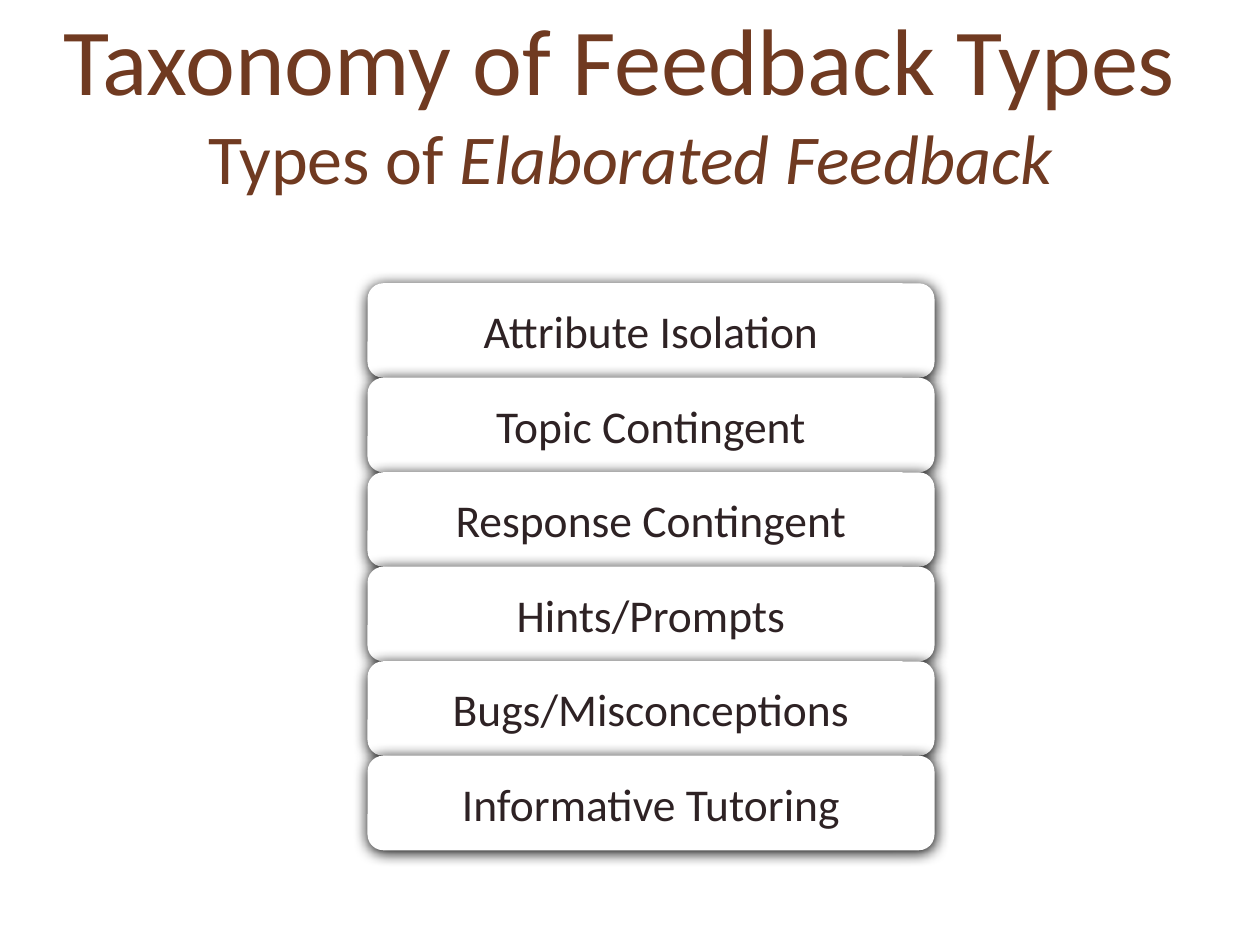
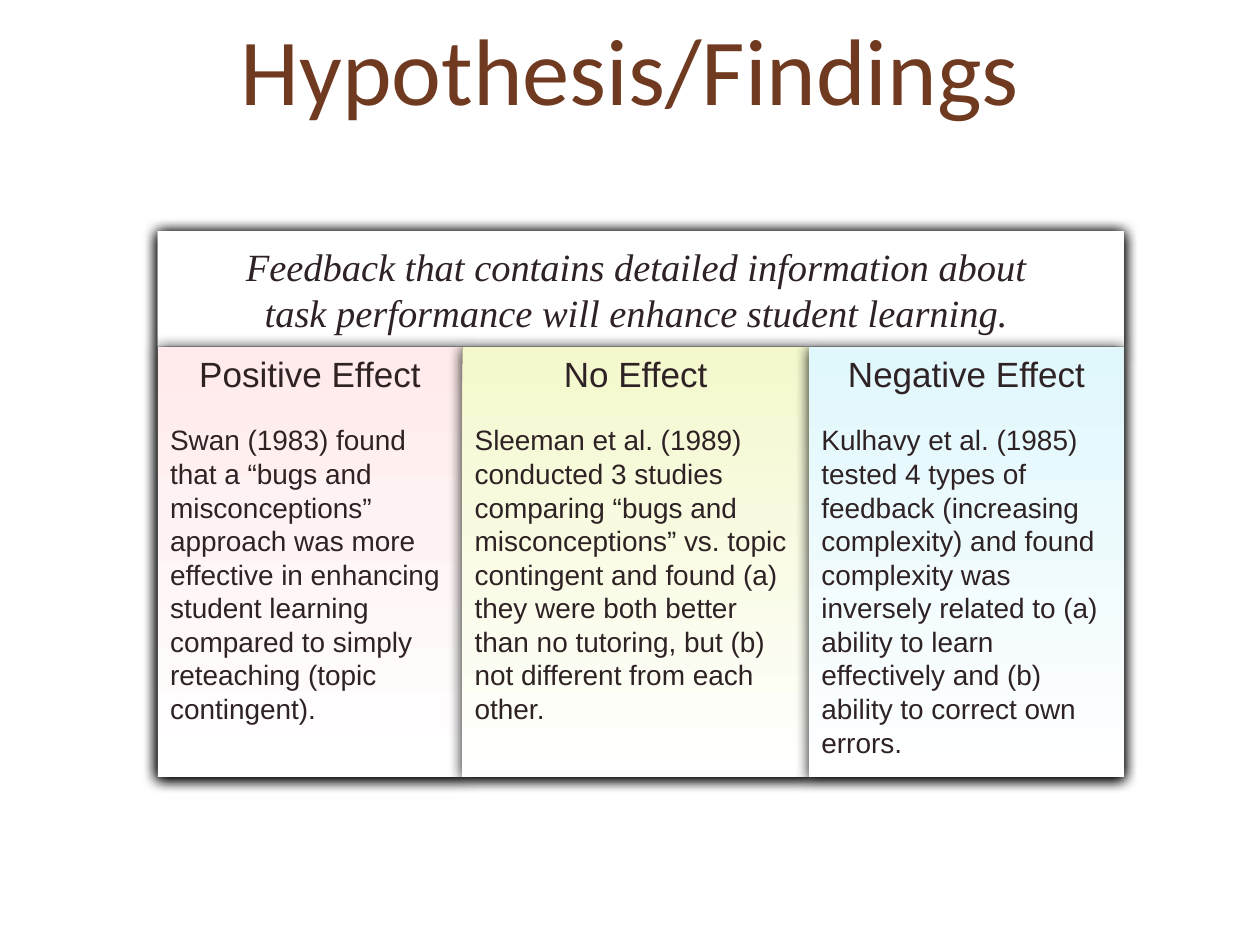
"""Build two slides on feedback types and the findings about them."""
from lxml import etree
from pptx import Presentation
from pptx.dml.color import RGBColor
from pptx.enum.shapes import MSO_SHAPE
from pptx.enum.text import MSO_ANCHOR, PP_ALIGN
from pptx.oxml.ns import qn
from pptx.util import Cm, Pt

RECTANGLE, ROUNDED = MSO_SHAPE.RECTANGLE, MSO_SHAPE.ROUNDED_RECTANGLE
TOP, MIDDLE = MSO_ANCHOR.TOP, MSO_ANCHOR.MIDDLE
LEFT, CENTER = PP_ALIGN.LEFT, PP_ALIGN.CENTER

BROWN = RGBColor(0x70, 0x3A, 0x21)
INK = RGBColor(0x2E, 0x22, 0x24)
WHITE = RGBColor(0xFF, 0xFF, 0xFF)
PINK = RGBColor(0xFF, 0xEB, 0xEB)
LIME = RGBColor(0xF4, 0xF8, 0xCC)
AQUA = RGBColor(0xE0, 0xF7, 0xFC)

TITLE = {"name": "Calibri", "size": Pt(54)}
SUBTITLE = {"name": "Calibri", "size": Pt(40)}
TYPE_LABEL = {"name": "Calibri", "size": Pt(26)}
HYPOTHESIS = {"name": "Times New Roman", "size": Pt(22), "italic": True}
EFFECT = {"name": "Arial", "size": Pt(20)}
FINDING = {"name": "Arial", "size": Pt(16)}

FEEDBACK_TYPES = [
    "Attribute Isolation", "Topic Contingent", "Response Contingent",
    "Hints/Prompts", "Bugs/Misconceptions", "Informative Tutoring",
]
FINDINGS = [
    (6.14, PINK, "Positive Effect",
     "Swan (1983) found that a “bugs and misconceptions” approach was more "
     "effective in enhancing student learning compared to simply reteaching "
     "(topic contingent)."),
    (6.99, LIME, "No Effect",
     "Sleeman et al. (1989) conducted 3 studies comparing “bugs and "
     "misconceptions” vs. topic contingent and found (a) they were both better "
     "than no tutoring, but (b) not different from each other."),
    (6.35, AQUA, "Negative Effect",
     "Kulhavy et al. (1985) tested 4 types of feedback (increasing complexity) "
     "and found complexity was inversely related to (a) ability to learn "
     "effectively and (b) ability to correct own errors."),
]


def add_blank_slide(presentation):
    """Add a slide with the blank layout."""
    return presentation.slides.add_slide(presentation.slide_layouts[6])


def write_paragraphs(shape, paragraphs, color, anchor=MIDDLE, wrap=True):
    """Fill a shape with (alignment, space after, runs) paragraphs."""
    frame = shape.text_frame
    frame.word_wrap = wrap
    frame.vertical_anchor = anchor
    for index, (alignment, space_after, runs) in enumerate(paragraphs):
        paragraph = frame.add_paragraph() if index else frame.paragraphs[0]
        paragraph.alignment = alignment
        paragraph.space_after = Pt(space_after)
        for text, formats in runs:
            run = paragraph.add_run()
            run.text = text
            run.font.color.rgb = color
            for attribute, value in formats.items():
                setattr(run.font, attribute, value)


def add_title(slide, left, top, width, height, lines):
    """Add a centred brown title, one list of runs per line."""
    title = slide.shapes.add_textbox(Cm(left), Cm(top), Cm(width), Cm(height))
    write_paragraphs(title, [(CENTER, 0, runs) for runs in lines], BROWN)


def add_shadow(shape):
    """Give a shape a soft black shadow just below it."""
    shape.shadow.inherit = False
    effects = shape._element.spPr.find(qn("a:effectLst"))
    shadow = etree.SubElement(
        effects, qn("a:outerShdw"), blurRad=str(Pt(8.5)), dist=str(Pt(1)),
        dir="5400000", algn="ctr", rotWithShape="0")
    etree.SubElement(shadow, qn("a:srgbClr"), val="000000")


def add_card(slide, kind, left, top, width, height, tint=WHITE):
    """Add a shadowed card that fades from its tint down to white."""
    card = slide.shapes.add_shape(kind, Cm(left), Cm(top), Cm(width), Cm(height))
    if tint == WHITE:
        card.fill.solid()
        card.fill.fore_color.rgb = WHITE
    else:
        card.fill.gradient()
        card.fill.gradient_angle = 270
        for stop, color, position in zip(card.fill.gradient_stops, (tint, WHITE), (0, 1)):
            stop.color.rgb = color
            stop.position = position
    card.line.fill.background()
    add_shadow(card)
    return card


def build_taxonomy(presentation):
    """Stack the types of elaborated feedback under the title."""
    slide = add_blank_slide(presentation)
    add_title(slide, 0.43, 0, 24.56, 4.02, [
        [("Taxonomy of Feedback Types ", TITLE)],
        [("Types of ", SUBTITLE),
         ("Elaborated Feedback", {**SUBTITLE, "italic": True})],
    ])
    first_top, height = 5.71, 1.905
    for row, label in enumerate(FEEDBACK_TYPES):
        card = add_card(slide, ROUNDED, 7.41, first_top + row * height, 11.43, height)
        write_paragraphs(card, [(CENTER, 0, [(label, TYPE_LABEL)])], INK, wrap=False)


def build_findings(presentation):
    """Set the hypothesis above one column for each kind of effect."""
    slide = add_blank_slide(presentation)
    left, top, banner_height, column_height = 3.18, 4.66, 2.33, 8.67
    width = sum(column[0] for column in FINDINGS)
    add_card(slide, RECTANGLE, left, top, width, banner_height + column_height)
    add_title(slide, 1.48, 0.21, 22.44, 2.33, [[("Hypothesis/Findings", TITLE)]])
    banner = add_card(slide, RECTANGLE, left, top, width, banner_height)
    write_paragraphs(banner, [
        (CENTER, 0, [("Feedback that contains detailed information about ", HYPOTHESIS)]),
        (CENTER, 0, [("task performance will enhance student learning. ", HYPOTHESIS)]),
    ], INK)
    for column_width, tint, effect, finding in FINDINGS:
        column = add_card(slide, RECTANGLE, left, top + banner_height,
                          column_width, column_height, tint)
        write_paragraphs(column, [
            (CENTER, 16, [(effect, EFFECT)]),
            (LEFT, 0, [(finding, FINDING)]),
        ], INK, anchor=TOP)
        left += column_width


def main():
    """Build and save the presentation."""
    presentation = Presentation()
    presentation.slide_width, presentation.slide_height = Cm(25.4), Cm(19.05)
    build_taxonomy(presentation)
    build_findings(presentation)
    presentation.save("out.pptx")


if __name__ == "__main__":
    main()
